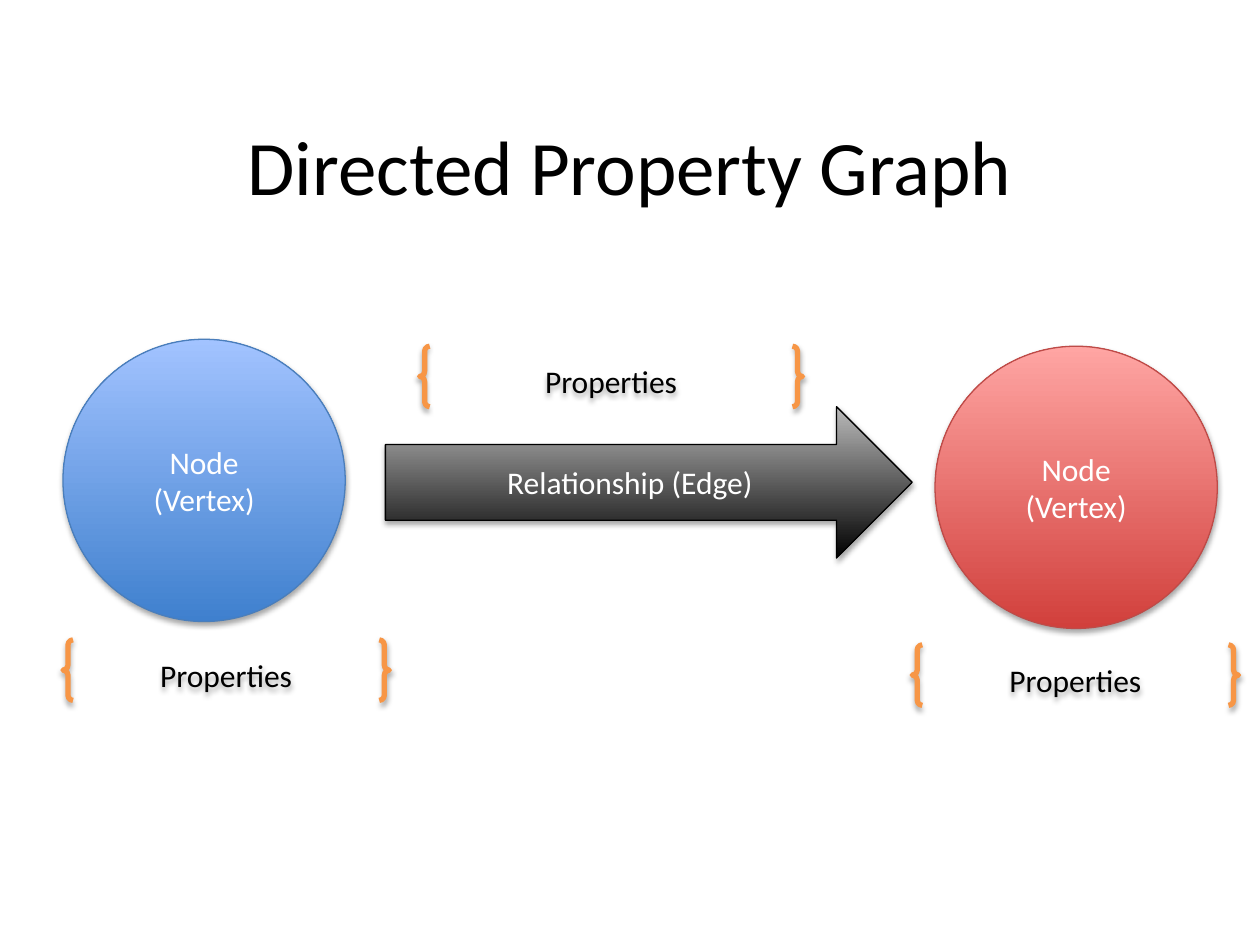
"""Build a slide that shows the parts of a directed property graph."""
from lxml.etree import SubElement
from pptx import Presentation
from pptx.dml.color import RGBColor
from pptx.enum.shapes import MSO_SHAPE
from pptx.enum.text import MSO_ANCHOR, PP_ALIGN
from pptx.oxml.ns import qn
from pptx.util import Cm, Pt

COLORS = {
    "black": "000000", "white": "FFFFFF", "orange": "F79646", "silver": "BABABA",
    "blue": "3F80CE", "light_blue": "A2C3FF", "blue_line": "4A7EBB",
    "red": "D1403C", "light_red": "FFA5A3", "red_line": "BE4B48",
}
FONT = "Calibri"
TITLE = "Directed Property Graph"
TITLE_BOX = (1.27, 1.73, 22.86, 3.17)

NODE_TEXT = "Node\n(Vertex)"
NODE_SIZE = 5.69
NODES = [
    (1.27, 6.84, ("blue", "light_blue"), "blue_line"),
    (18.85, 6.98, ("red", "light_red"), "red_line"),
]
EDGE_TEXT = "Relationship (Edge)"
EDGE_BOX = (7.77, 8.2, 10.62, 3.05)

PROPERTY_TEXT = "Properties"
PROPERTY_HEIGHT = 1.22
PROPERTIES = [(1.27, 12.9, 6.58), (18.39, 13, 6.58), (8.46, 6.98, 7.72)]


def rgb(name):
    return RGBColor.from_string(COLORS[name])


def set_text(sp, text, size, color, inset=0, top=None):
    tf = sp.text_frame
    tf.word_wrap = True
    tf.vertical_anchor = MSO_ANCHOR.MIDDLE
    tf.margin_left = tf.margin_right = tf.margin_bottom = Cm(inset)
    tf.margin_top = Cm(inset if top is None else top)
    tf.text = text
    for p in tf.paragraphs:
        p.alignment = PP_ALIGN.CENTER
        for r in p.runs:
            r.font.name = FONT
            r.font.size = Pt(size)
            r.font.color.rgb = rgb(color)


def add_shadow(sp):
    sp.shadow.inherit = False
    effects = sp._element.spPr.find(qn("a:effectLst"))
    shadow = SubElement(effects, qn("a:outerShdw"), blurRad=str(Pt(3)),
                        dist=str(Pt(1.8)), dir="5400000", rotWithShape="0")
    color = SubElement(shadow, qn("a:srgbClr"), val=COLORS["black"])
    SubElement(color, qn("a:alpha"), val="35000")


def add_outlined(s, kind, box, line, width):
    sp = s.shapes.add_shape(kind, *map(Cm, box))
    sp.line.color.rgb = rgb(line)
    sp.line.width = Pt(width)
    add_shadow(sp)
    return sp


def add_gradient_shape(s, kind, box, text, gradient, line):
    sp = add_outlined(s, kind, box, line, 0.75)
    sp.fill.gradient()
    sp.fill.gradient_angle = 90
    for stop, color in zip(sp.fill.gradient_stops, gradient):
        stop.color.rgb = rgb(color)
    set_text(sp, text, 18, "white")


def add_properties(s, box):
    sp = add_outlined(s, MSO_SHAPE.DOUBLE_BRACE, box, "orange", 3)
    sp.fill.background()
    set_text(sp, PROPERTY_TEXT, 18, "black", top=0.08)


def main():
    prs = Presentation()
    prs.slide_width, prs.slide_height = Cm(25.4), Cm(19.05)
    s = prs.slides.add_slide(prs.slide_layouts[6])

    title = s.shapes.add_textbox(*map(Cm, TITLE_BOX))
    set_text(title, TITLE, 44, "black", inset=0.13)

    for left, top, gradient, line in NODES:
        box = (left, top, NODE_SIZE, NODE_SIZE)
        add_gradient_shape(s, MSO_SHAPE.OVAL, box, NODE_TEXT, gradient, line)
    add_gradient_shape(s, MSO_SHAPE.RIGHT_ARROW, EDGE_BOX, EDGE_TEXT,
                       ("black", "silver"), "black")
    for left, top, width in PROPERTIES:
        add_properties(s, (left, top, width, PROPERTY_HEIGHT))

    prs.save("out.pptx")


if __name__ == "__main__":
    main()
